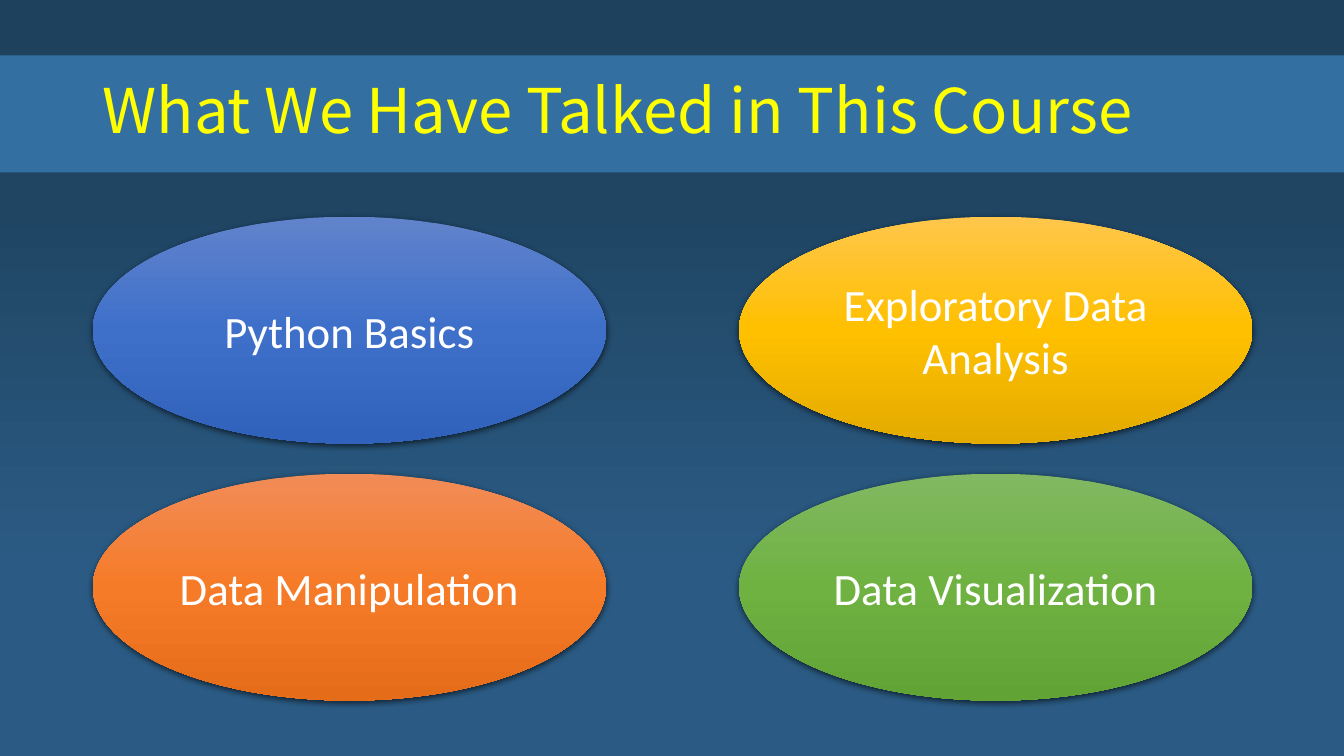
from lxml.etree import SubElement as Sub
from pptx import Presentation
from pptx.dml.color import RGBColor
from pptx.enum.shapes import MSO_SHAPE as Shape
from pptx.enum.text import MSO_ANCHOR as Anchor, PP_ALIGN as Align
from pptx.oxml.ns import qn
from pptx.util import Inches, Pt

WIDTH, HEIGHT = 13.33, 7.5
MARGIN = 0.92
# Topic grid: first cell, cell size, step to the next cell
TOP, OVAL_W, OVAL_H = 2.15, 5.09, 2.25
STEP_X, STEP_Y = 6.41, 2.55

BACKGROUND = [(0, "1E415D"), (27, "1F4563"), (76, "2B5B84"), (100, "2B5B83")]
TOPICS = [  # column, row, label, colours from top to bottom
    (0, 0, "Python Basics", ("6183CB", "3E70CA", "3062BB")),
    (0, 1, "Data Manipulation", ("F18C57", "F67B28", "E56C19")),
    (1, 0, "Exploratory Data Analysis", ("FFC64B", "FFC000", "E3AB00")),
    (1, 1, "Data Visualization", ("81B861", "6FB242", "62A336")),
]


def rgb(color):
    return RGBColor.from_string(color)


def fill_gradient(fill, element, stops):
    """Fill from top to bottom with (percent, colour) stops."""
    fill.gradient()
    fill.gradient_angle = 270
    stop_list = element.find(".//" + qn("a:gsLst"))
    for old in list(stop_list):
        stop_list.remove(old)
    for percent, color in stops:
        stop = Sub(stop_list, qn("a:gs"), pos=str(percent * 1000))
        Sub(stop, qn("a:srgbClr"), val=color)


def add_shadow(sp):
    """Cast a soft shadow straight down."""
    effects = sp.element.spPr.find(qn("a:effectLst"))
    shadow = Sub(effects, qn("a:outerShdw"), blurRad=str(Pt(4.5)),
                 dist=str(Pt(1.5)), dir="5400000", algn="ctr", rotWithShape="0")
    color = Sub(shadow, qn("a:srgbClr"), val="000000")
    Sub(color, qn("a:alpha"), val="63000")


def add_shape(s, kind, x, y, w, h):
    sp = s.shapes.add_shape(kind, Inches(x), Inches(y), Inches(w), Inches(h))
    sp.shadow.inherit = False
    sp.line.fill.background()
    return sp


def write(tf, text, size, font, color, align, spacing=1.0):
    tf.word_wrap = True
    tf.vertical_anchor = Anchor.MIDDLE
    p = tf.paragraphs[0]
    p.alignment = align
    p.line_spacing = spacing
    r = p.add_run()
    r.text = text
    r.font.size = Pt(size)
    r.font.name = font
    r.font.color.rgb = rgb(color)


def add_title(s, text):
    band = add_shape(s, Shape.RECTANGLE, 0, 0.55, WIDTH, 1.16)
    band.fill.solid()
    band.fill.fore_color.rgb = rgb("336FA0")
    box = s.shapes.add_textbox(Inches(MARGIN), Inches(0.4),
                               Inches(11.5), Inches(1.45))
    write(box.text_frame, text, 44, "Noto Sans CJK SC", "FFFF00", Align.LEFT, 0.9)


def add_topic(s, column, row, label, colors):
    sp = add_shape(s, Shape.OVAL, MARGIN + column * STEP_X, TOP + row * STEP_Y,
                   OVAL_W, OVAL_H)
    fill_gradient(sp.fill, sp.element, zip((0, 50, 100), colors))
    add_shadow(sp)
    write(sp.text_frame, label, 32, "Calibri", "FFFFFF", Align.CENTER)


def main():
    prs = Presentation()
    prs.slide_width, prs.slide_height = Inches(WIDTH), Inches(HEIGHT)
    s = prs.slides.add_slide(prs.slide_layouts[6])

    # Background and heading
    fill_gradient(s.background.fill, s.element, BACKGROUND)
    add_title(s, "What We Have Talked in This Course")

    # Course topics
    for topic in TOPICS:
        add_topic(s, *topic)

    prs.save("out.pptx")


main()
